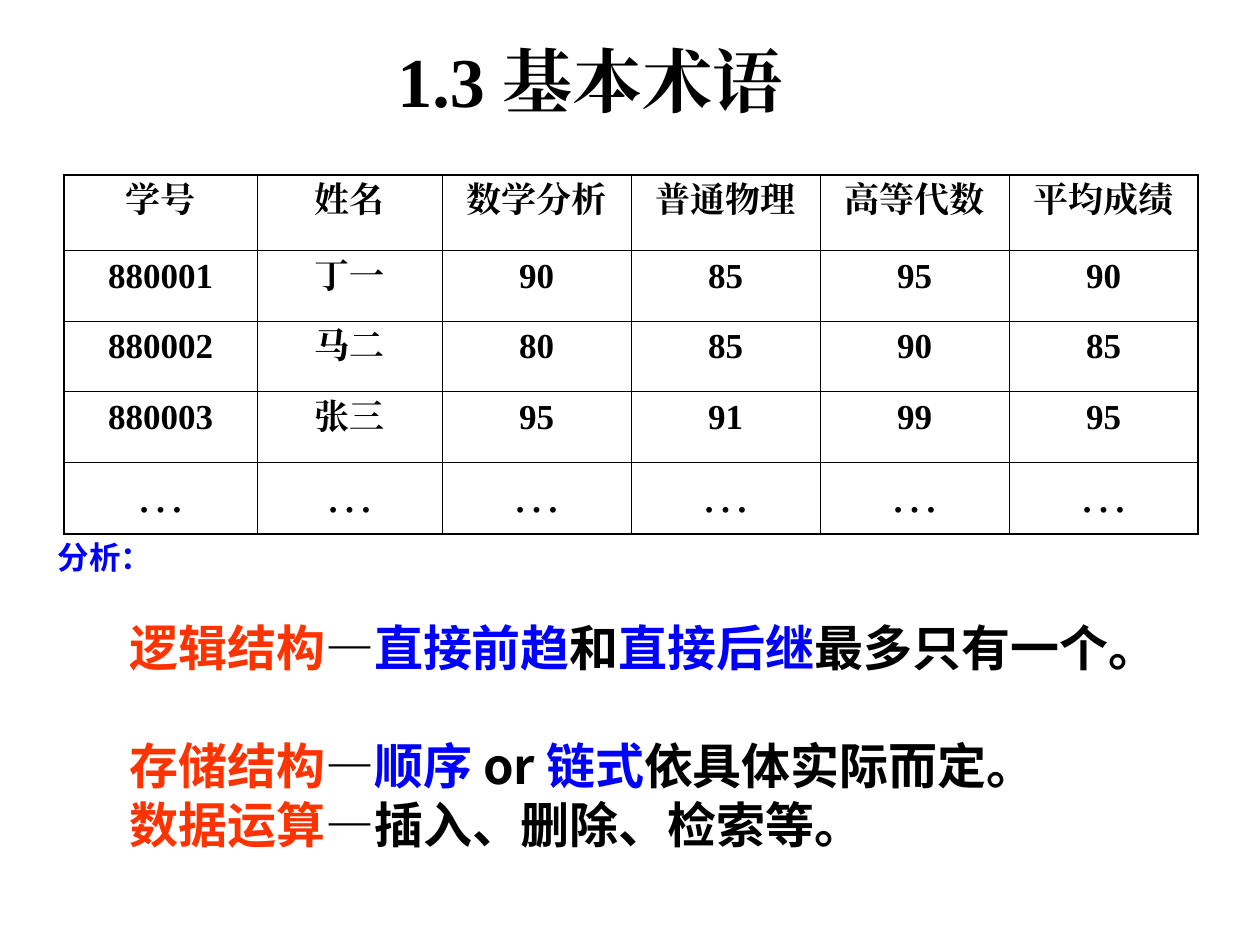
from lxml.etree import SubElement
from pptx import Presentation
from pptx.dml.color import RGBColor
from pptx.enum.text import MSO_ANCHOR as Anchor, MSO_AUTO_SIZE as AutoSize, PP_ALIGN as Align
from pptx.oxml.ns import qn
from pptx.util import Inches, Pt

BLACK = RGBColor(0x00, 0x00, 0x00)
BLUE = RGBColor(0x00, 0x00, 0xFF)
RED = RGBColor(0xFF, 0x33, 0x00)
SERIF = "Times New Roman"
SANS = "Arial"
CHINESE = "Noto Sans CJK SC"

COLUMN_WIDTHS = [1.53, 1.47, 1.5, 1.5, 1.5, 1.5]
ROW_HEIGHTS = [0.6, 0.56, 0.56, 0.56, 0.57]
GRADES = [
    ["学号", "姓名", "数学分析", "普通物理", "高等代数", "平均成绩"],
    ["880001", "丁一", "90", "85", "95", "90"],
    ["880002", "马二", "80", "85", "90", "85"],
    ["880003", "张三", "95", "91", "99", "95"],
    ["…"] * 6,
]
ANALYSIS = [
    [("逻辑结构", RED), ("—", BLACK), ("直接前趋", BLUE), ("和", BLACK),
     ("直接后继", BLUE), ("最多只有一个。", BLACK)],
    [("存储结构", RED), ("—", BLACK), ("顺序", BLUE), (" or ", BLACK),
     ("链式", BLUE), ("依具体实际而定。", BLACK)],
    [("数据运算", RED), ("—插入、删除、检索等。", BLACK)],
]


def add_span(para, text, size=20, font=SERIF, color=BLACK, bold=True):
    span = para.add_run()
    span.text = text
    span.font.size = Pt(size)
    span.font.name = font
    span.font.bold = bold
    span.font.color.rgb = color
    properties = span.font._element
    SubElement(properties, qn("a:ea")).set("typeface", font)


class SlideBuilder:
    thin = Pt(0.45)
    thick = Pt(1.08)

    def __init__(self, page):
        self.page = page

    def title(self, text, left, top, width, height):
        box = self.page.shapes.title
        box.left, box.top = Inches(left), Inches(top)
        box.width, box.height = Inches(width), Inches(height)
        frame = box.text_frame
        frame.auto_size = AutoSize.NONE
        frame.vertical_anchor = Anchor.MIDDLE
        para = frame.paragraphs[0]
        para.alignment = Align.CENTER
        add_span(para, text, size=40)

    def border(self, cell, side, width):
        line = SubElement(cell._tc.get_or_add_tcPr(), qn(f"a:ln{side}"), w=str(width))
        fill = SubElement(line, qn("a:solidFill"))
        SubElement(fill, qn("a:srgbClr"), val=str(BLACK))

    def table(self, rows, left, top):
        grid = self.page.shapes.add_table(
            len(rows), len(rows[0]), Inches(left), Inches(top),
            Inches(sum(COLUMN_WIDTHS)), Inches(sum(ROW_HEIGHTS))).table
        for column, width in zip(grid.columns, COLUMN_WIDTHS):
            column.width = Inches(width)
        last_row, last_column = len(rows) - 1, len(rows[0]) - 1
        for i, values in enumerate(rows):
            grid.rows[i].height = Inches(ROW_HEIGHTS[i])
            is_last = i == last_row
            for j, value in enumerate(values):
                cell = grid.cell(i, j)
                para = cell.text_frame.paragraphs[0]
                para.alignment = Align.CENTER
                para.space_before = Pt(7 if is_last else 5)
                add_span(para, value, size=28 if is_last else 20, bold=not is_last)
                edges = {"L": j == 0, "R": j == last_column, "T": i == 0, "B": is_last}
                for side, is_outer in edges.items():
                    self.border(cell, side, self.thick if is_outer else self.thin)
                cell.fill.background()

    def text(self, left, top, width, height, wrap=True):
        box = self.page.shapes.add_textbox(
            Inches(left), Inches(top), Inches(width), Inches(height))
        box.text_frame.word_wrap = wrap
        box.text_frame.auto_size = AutoSize.SHAPE_TO_FIT_TEXT
        return box.text_frame

    def label(self, text, left, top, width, height):
        frame = self.text(left, top, width, height, wrap=False)
        add_span(frame.paragraphs[0], text, size=18, font=SANS, color=BLUE)

    def analysis(self, lines, left, top, width, height):
        frame = self.text(left, top, width, height)
        for index, line in enumerate(lines):
            para = frame.paragraphs[0] if index == 0 else frame.add_paragraph()
            para.level = 1
            para._p.get_or_add_pPr().set("marL", str(Inches(0.5)))
            para.space_before = Pt(34 if index == 1 else 0)
            for text, color in line:
                add_span(para, text, size=28, font=CHINESE, color=color)


def main():
    deck = Presentation()
    deck.slide_width, deck.slide_height = Inches(10), Inches(7.5)
    builder = SlideBuilder(deck.slides.add_slide(deck.slide_layouts[5]))
    builder.table(GRADES, 0.51, 1.39)
    builder.analysis(ANALYSIS, 0.43, 4.85, 9.17, 1.97)
    builder.label("分析：", 0.36, 4.22, 0.95, 0.4)
    builder.title("1.3 基本术语", 2.87, 0.28, 3.62, 0.7)
    deck.save("out.pptx")


if __name__ == "__main__":
    main()
